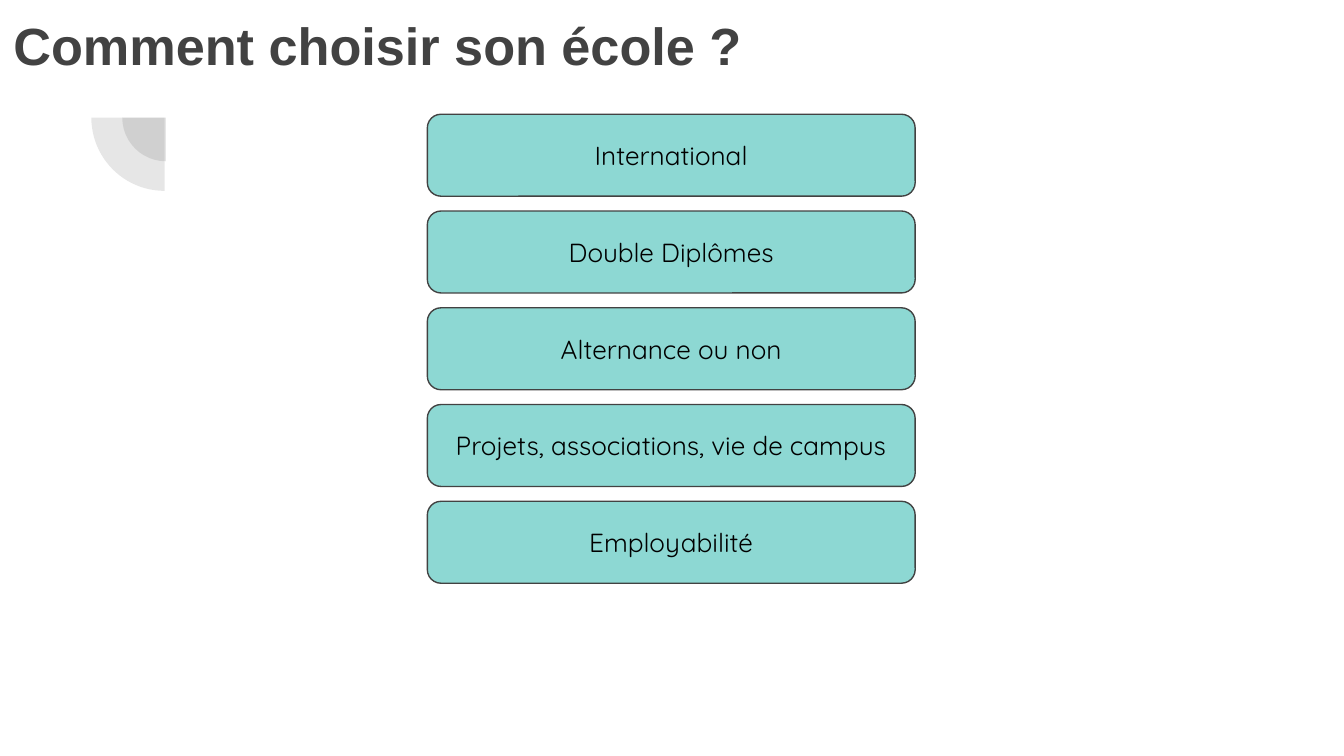
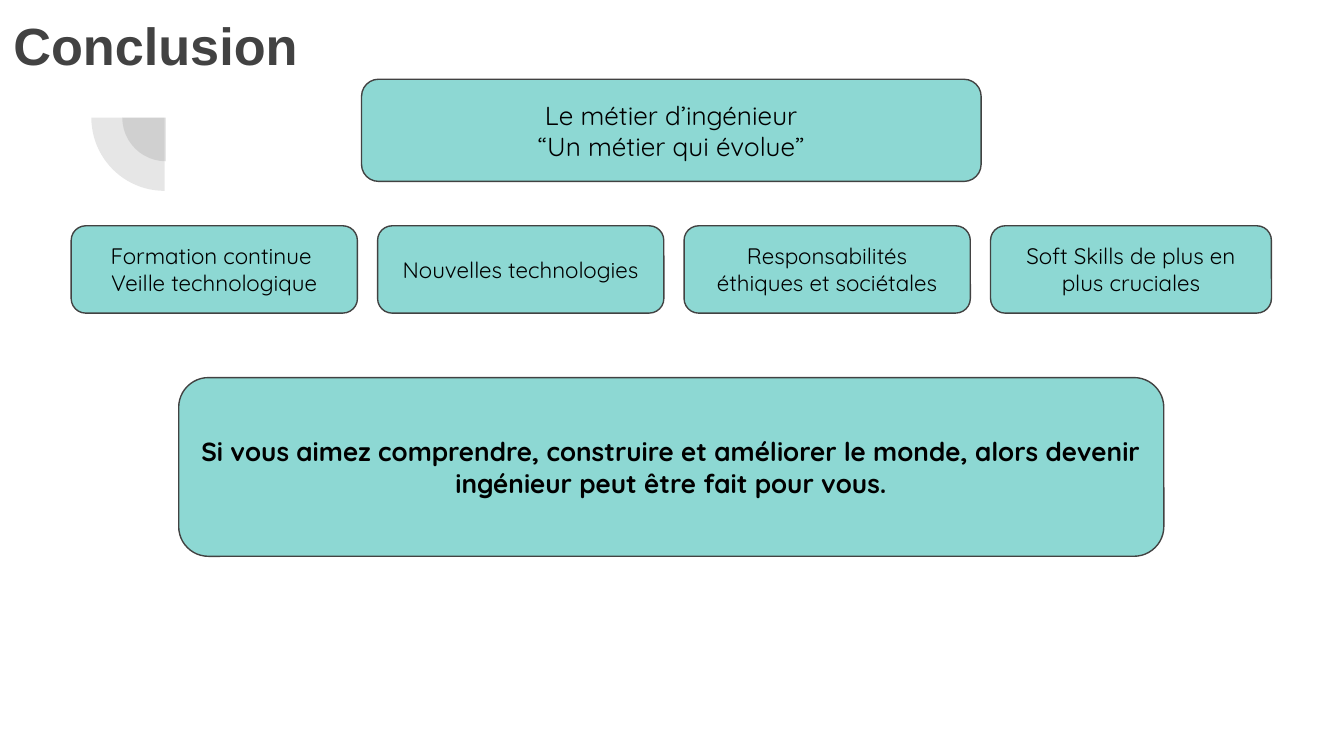
from lxml.etree import SubElement
from pptx import Presentation
from pptx.dml.color import RGBColor
from pptx.enum.shapes import MSO_SHAPE as Shape
from pptx.enum.text import MSO_ANCHOR as Anchor, MSO_AUTO_SIZE as AutoSize, PP_ALIGN as Align
from pptx.oxml.ns import qn
from pptx.util import Inches, Pt

# Content
CRITERIA_TITLE = "Comment choisir son école ?"
CRITERIA = [
    "International",
    "Double Diplômes",
    "Alternance ou non",
    "Projets, associations, vie de campus",
    "Employabilité",
]
CONCLUSION_TITLE = "Conclusion"
PROFESSION = ["Le métier d’ingénieur", "“Un métier qui évolue”"]
TRENDS = [  # paragraphs, card width
    (["Formation continue ", "Veille technologique"], 2.13),
    (["Nouvelles technologies"], 2.13),
    (["Responsabilités éthiques et sociétales"], 2.13),
    (["Soft Skills de plus en plus cruciales"], 2.09),
]
CLOSING = ("Si vous aimez comprendre, construire et améliorer le monde, "
           "alors devenir ingénieur peut être fait pour vous.")

# Shared style
PAGE_WIDTH = 10
PAGE_HEIGHT = PAGE_WIDTH * 9 / 16
COLORS = {"dark": "424242", "card": "8DD8D3", "text": "000000", "page": "FFFFFF"}
TITLE_FONT, CARD_FONT = "Arial", "Quicksand"
MARGIN = 0.1
QUARTERS = [(0.91, 0.55, 0.65), (0.68, 0.33, 1.09)]  # left, top, diameter
TITLE_ONLY = 5


def color(name):
    return RGBColor.from_string(COLORS[name])


def write(frame, paragraphs, *, font, size, fill, bold=False,
          align=Align.LEFT, anchor=Anchor.TOP):
    frame.word_wrap = True
    frame.auto_size = AutoSize.NONE
    frame.vertical_anchor = anchor
    frame.margin_left = frame.margin_right = Inches(MARGIN)
    frame.margin_top = frame.margin_bottom = Inches(MARGIN)
    for index, text in enumerate(paragraphs):
        para = frame.paragraphs[0] if index == 0 else frame.add_paragraph()
        para.alignment = align
        span = para.add_run()
        span.text = text
        span.font.name = font
        span.font.size = Pt(size)
        span.font.bold = bold
        span.font.color.rgb = color(fill)


def add_quarter(page, left, top, diameter):
    """Translucent quarter disc, turned to the lower left."""
    quarter = page.shapes.add_shape(
        Shape.PIE, Inches(left), Inches(top), Inches(diameter), Inches(diameter))
    quarter.adjustments[0] = 108
    quarter.adjustments[1] = 162
    quarter.rotation = 270
    quarter.shadow.inherit = False
    quarter.line.fill.background()
    quarter.fill.solid()
    quarter.fill.fore_color.rgb = color("dark")
    tint = quarter.fill._xPr.find(qn("a:solidFill"))[0]
    SubElement(tint, qn("a:alpha"), val="13000")


def add_page(deck, title, width, height):
    page = deck.slides.add_slide(deck.slide_layouts[TITLE_ONLY])
    page.background.fill.solid()
    page.background.fill.fore_color.rgb = color("page")
    for quarter in QUARTERS:
        add_quarter(page, *quarter)
    box = page.shapes.title
    box.left, box.top = Inches(0), Inches(0)
    box.width, box.height = Inches(width), Inches(height)
    write(box.text_frame, [title], font=TITLE_FONT, size=28, fill="dark", bold=True)
    return page


def add_card(page, paragraphs, left, top, width, height, size=14, bold=False):
    card = page.shapes.add_shape(
        Shape.ROUNDED_RECTANGLE,
        Inches(left), Inches(top), Inches(width), Inches(height))
    card.shadow.inherit = False
    card.fill.solid()
    card.fill.fore_color.rgb = color("card")
    card.line.color.rgb = color("dark")
    card.line.width = Pt(0.75)
    write(card.text_frame, paragraphs, font=CARD_FONT, size=size, fill="text",
          bold=bold, align=Align.CENTER, anchor=Anchor.MIDDLE)


def build_criteria(deck):
    page = add_page(deck, CRITERIA_TITLE, 7.42, 0.67)
    top, pitch = 0.85, 0.72
    for row, criterion in enumerate(CRITERIA):
        add_card(page, [criterion], 3.18, top + row * pitch, 3.63, 0.61)


def build_conclusion(deck):
    page = add_page(deck, CONCLUSION_TITLE, 7.69, 1.09)
    add_card(page, PROFESSION, 2.69, 0.59, 4.61, 0.76)
    left, gap = 0.53, 0.15
    for paragraphs, width in TRENDS:
        add_card(page, paragraphs, left, 1.68, width, 0.65, size=12)
        left += width + gap
    add_card(page, [CLOSING], 1.33, 2.81, 7.33, 1.33, bold=True)


def main():
    deck = Presentation()
    deck.slide_width, deck.slide_height = Inches(PAGE_WIDTH), Inches(PAGE_HEIGHT)
    build_criteria(deck)
    build_conclusion(deck)
    deck.save("out.pptx")


if __name__ == "__main__":
    main()
